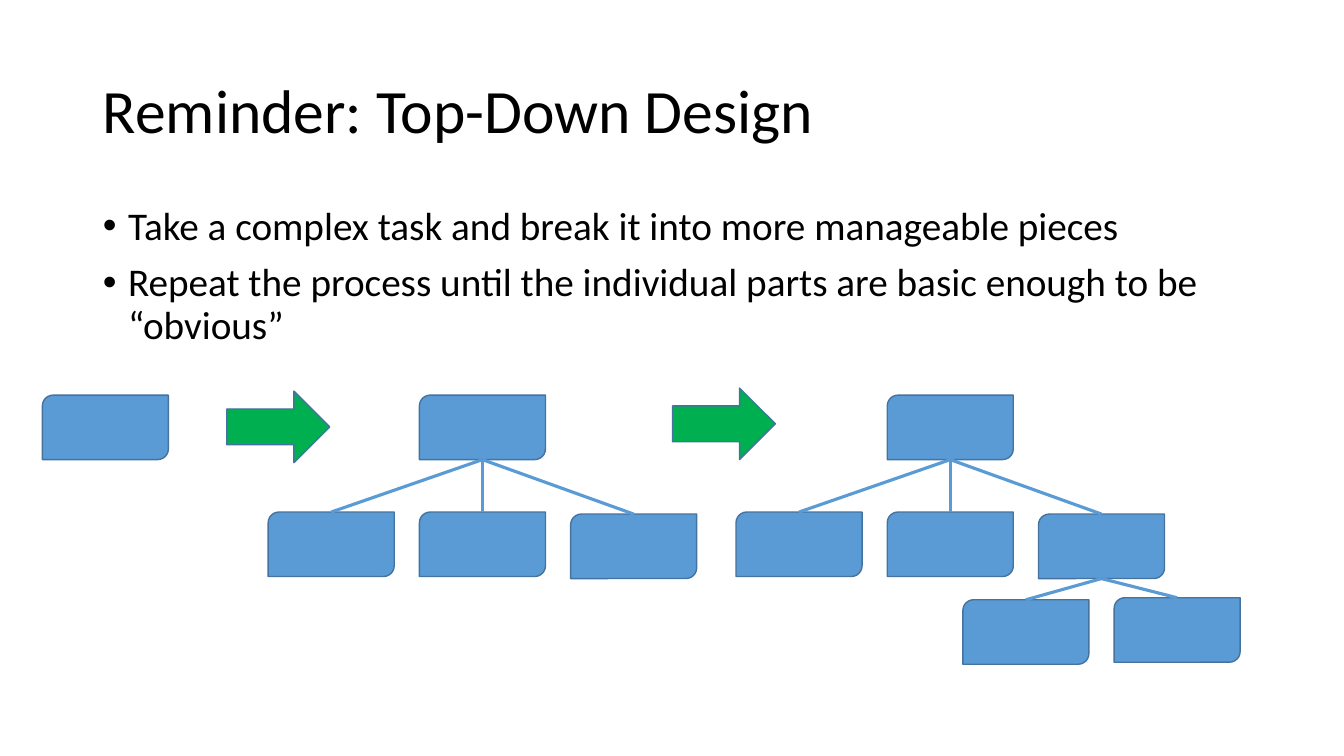
from lxml import etree
from pptx import Presentation
from pptx.dml.color import RGBColor
from pptx.enum.shapes import MSO_CONNECTOR, MSO_SHAPE
from pptx.enum.text import MSO_ANCHOR, MSO_AUTO_SIZE, PP_ALIGN
from pptx.oxml.ns import qn
from pptx.util import Inches, Pt

BOX_SHAPE = MSO_SHAPE.ROUND_2_DIAG_RECTANGLE
ARROW_SHAPE = MSO_SHAPE.RIGHT_ARROW
STRAIGHT = MSO_CONNECTOR.STRAIGHT
LEFT, MIDDLE, TOP = PP_ALIGN.LEFT, MSO_ANCHOR.MIDDLE, MSO_ANCHOR.TOP
NO_FIT = MSO_AUTO_SIZE.NONE

# Content
TITLE = "Reminder: Top-Down Design"
BULLETS = [
    "Take a complex task and break it into more manageable pieces",
    "Repeat the process until the individual parts are basic enough to be “obvious”",
]
FONT = "Calibri"
COLORS = {"text": "000000", "box": "5B9BD5", "outline": "43739E", "arrow": "00B050"}

# Each tree node: (horizontal offset from its parent, top, children)
GRANDCHILDREN = [(-0.75, 5.95, []), (0.75, 5.93, [])]


def task_tree(last_children):
    return [(-1.5, 5.08, []), (0, 5.08, []), (1.5, 5.1, last_children)]


ROOT_TOP = 3.92
STAGES = [  # left of the root box, children
    (0.42, []),
    (4.16, task_tree([])),
    (8.8, task_tree(GRANDCHILDREN)),
]
ARROWS = [(2.25, 3.88), (6.67, 3.85)]
BOX_SIZE = (1.25, 0.64)
ARROW_SIZE = (1.02, 0.71)

deck = Presentation()
deck.slide_width, deck.slide_height = Inches(13.33), Inches(7.5)
slide = deck.slides.add_slide(deck.slide_layouts[1])


def color(name):
    return RGBColor.from_string(COLORS[name])


def fill_placeholder(holder, area, lines, size, anchor):
    holder.left, holder.top, holder.width, holder.height = map(Inches, area)
    frame = holder.text_frame
    frame.word_wrap = True
    frame.auto_size = NO_FIT
    frame.vertical_anchor = anchor
    for index, line in enumerate(lines):
        para = frame.add_paragraph() if index else frame.paragraphs[0]
        para.alignment = LEFT
        para.line_spacing = 0.9
        span = para.add_run()
        span.text = line
        span.font.size = Pt(size)
        span.font.name = FONT
        span.font.color.rgb = color("text")
    return frame.paragraphs


def add_block(kind, left, top, size, fill):
    block = slide.shapes.add_shape(kind, *map(Inches, (left, top, *size)))
    block.shadow.inherit = False
    block.fill.solid()
    block.fill.fore_color.rgb = color(fill)
    block.line.color.rgb = color("outline")
    block.line.width = Pt(1)


def add_link(*ends):
    link = slide.shapes.add_connector(STRAIGHT, *map(Inches, ends))
    link.line.color.rgb = color("box")
    link.line.width = Pt(2.25)
    etree.SubElement(link._element.spPr, qn("a:effectLst"))


def add_tree(left, top, children):
    width, height = BOX_SIZE
    add_block(BOX_SHAPE, left, top, BOX_SIZE, "box")
    center = left + width / 2
    for offset, child_top, grandchildren in children:
        add_tree(left + offset, child_top, grandchildren)
        add_link(center, top + height, center + offset, child_top)


# Title and bullets
fill_placeholder(slide.shapes.title, (0.92, 0.4, 11.5, 1.45), [TITLE], 44, MIDDLE)
for para in fill_placeholder(slide.placeholders[1], (0.92, 2, 11.5, 4.76), BULLETS, 28, TOP):
    para.space_before = Pt(10)
    properties = para._p.get_or_add_pPr()
    properties.set("marL", str(Inches(0.25)))
    properties.set("indent", str(-Inches(0.25)))
    etree.SubElement(properties, qn("a:buFont")).set("typeface", "Arial")
    etree.SubElement(properties, qn("a:buChar")).set("char", "•")

# Three stages of breaking the task down
for left, children in STAGES:
    add_tree(left, ROOT_TOP, children)

# Arrows between the stages
for left, top in ARROWS:
    add_block(ARROW_SHAPE, left, top, ARROW_SIZE, "arrow")

deck.save("out.pptx")
